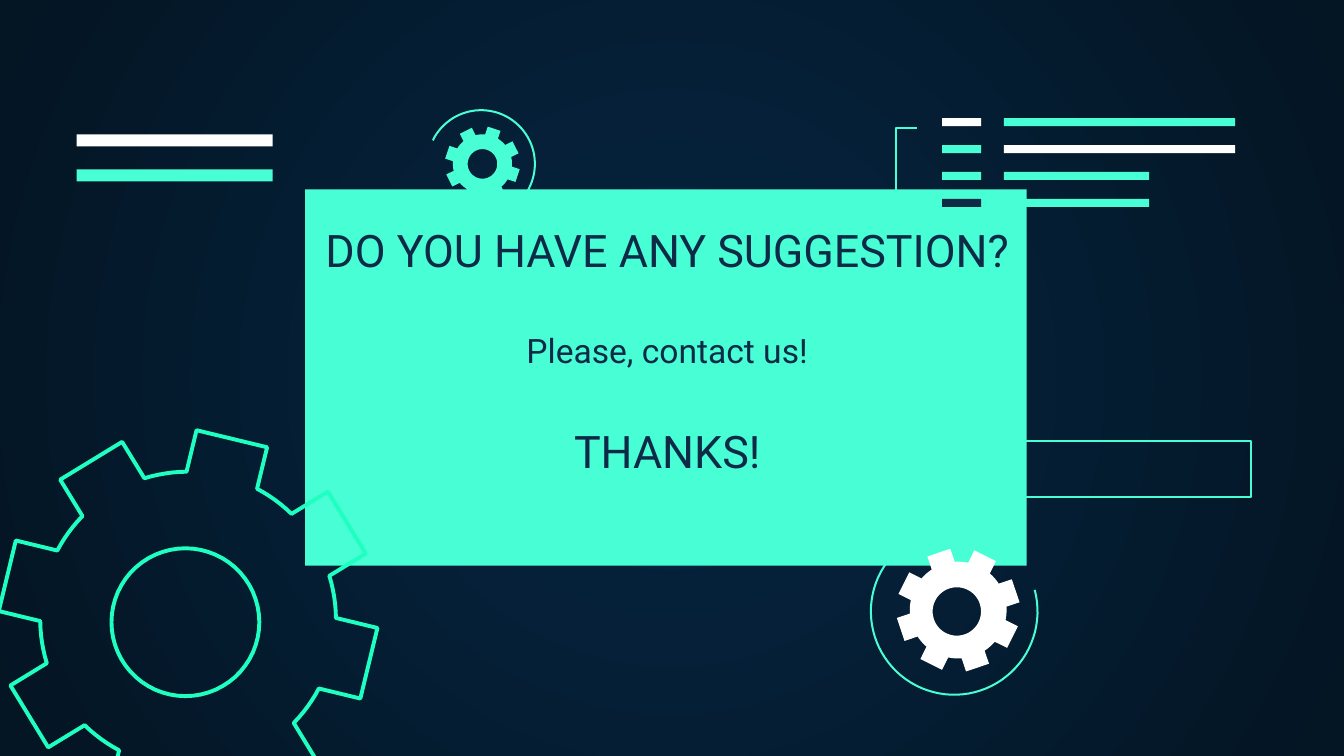
"""Build the closing slide: a contact panel surrounded by gears, arcs and bars."""
from dataclasses import dataclass
from math import asin, cos, degrees, radians, sin
from typing import Optional

from lxml import etree
from pptx import Presentation
from pptx.dml.color import RGBColor
from pptx.enum import shapes as kinds, text as txt
from pptx.oxml.ns import qn
from pptx.util import Inches, Pt

Point = tuple[float, float]


@dataclass(frozen=True)
class Theme:
    mint: str = "48FFD5"
    bright_mint: str = "1EFFC1"
    white: str = "FFFFFF"
    navy: str = "0E2A47"
    glow: str = "052643"
    edge: str = "041523"
    font: str = "Roboto"
    heading: float = 24
    body: float = 18
    gap: float = 28.5
    thin: float = 1.09
    thick: float = 2.1


@dataclass(frozen=True)
class Gear:
    centre: Point
    hole_centre: Point
    tip: float
    root: float
    hole: float
    half_tooth: float
    phase: float
    fill: Optional[str] = None
    line: Optional[str] = None


@dataclass(frozen=True)
class Arc:
    centre: Point
    radius: float
    start: float
    end: float


@dataclass(frozen=True)
class Bar:
    left: float
    top: float
    width: float
    height: float
    fill: Optional[str] = None
    line: Optional[str] = None


THEME = Theme()
TEETH = 8

PANEL = Bar(2.27, 1.41, 5.37, 2.8, THEME.mint)
ORBITS = [Arc((3.58, 1.22), 0.4, 206, 455), Arc((7.1, 4.55), 0.62, -15, 233)]
GEARS = [
    Gear((1.4, 4.61), (1.38, 4.63), 1.41, 1.1, 0.55, 0.27, 13.6, line=THEME.bright_mint),
    Gear((7.13, 4.54), (7.12, 4.55), 0.46, 0.36, 0.18, 0.09, 26.4, fill=THEME.white),
    Gear((3.59, 1.22), (3.59, 1.22), 0.28, 0.22, 0.11, 0.05, 18.4, fill=THEME.mint),
]
LIST_ROWS = [
    (THEME.white, THEME.mint, 1.72),
    (THEME.mint, THEME.white, 1.72),
    (THEME.mint, THEME.mint, 1.08),
    (THEME.navy, THEME.mint, 1.08),
]
BRACKET = [(6.83, 1.56), (6.67, 1.56), (6.67, 0.95), (6.82, 0.95)]
TITLE_BARS = [
    Bar(0.57, 1, 1.46, 0.09, THEME.white),
    Bar(0.57, 1.26, 1.46, 0.09, THEME.mint),
]
SIDE_FRAME = Bar(7.2, 3.28, 2.11, 0.42, line=THEME.mint)
MESSAGES = [
    ("DO YOU HAVE ANY SUGGESTION?", THEME.heading),
    ("Please, contact us!", THEME.body),
    ("THANKS!", THEME.heading),
]


def style(shape, fill: Optional[str], line: Optional[str], weight: float = THEME.thin) -> None:
    """Apply a flat fill and outline, leaving out whichever is None."""
    shape.shadow.inherit = False
    if fill:
        shape.fill.solid()
        shape.fill.fore_color.rgb = RGBColor.from_string(fill)
    else:
        shape.fill.background()
    if line:
        shape.line.color.rgb = RGBColor.from_string(line)
        shape.line.width = Pt(weight)
    else:
        shape.line.fill.background()


def arc_points(centre: Point, radius: float, start: float, end: float, steps: int) -> list[Point]:
    """Return points along a clockwise arc, with angles in degrees."""
    angles = [radians(start + (end - start) * i / steps) for i in range(steps + 1)]
    return [(centre[0] + radius * cos(a), centre[1] + radius * sin(a)) for a in angles]


def draw_outline(slide, contours: list[list[Point]], closed: bool):
    """Draw one freeform made of the given contours."""
    paths = [[(Inches(x), Inches(y)) for x, y in contour] for contour in contours]
    builder = slide.shapes.build_freeform(*paths[0][0], scale=1.0)
    builder.add_line_segments(paths[0][1:], close=closed)
    for path in paths[1:]:
        builder.move_to(*path[0])
        builder.add_line_segments(path[1:], close=closed)
    return builder.convert_to_shape()


def draw_bar(slide, bar: Bar) -> None:
    """Draw a rectangle."""
    box = [Inches(v) for v in (bar.left, bar.top, bar.width, bar.height)]
    style(slide.shapes.add_shape(kinds.MSO_SHAPE.RECTANGLE, *box), bar.fill, bar.line)


def draw_orbit(slide, arc: Arc) -> None:
    """Draw an open arc around a gear."""
    points = arc_points(arc.centre, arc.radius, arc.start, arc.end, 60)
    style(draw_outline(slide, [points], False), None, THEME.mint)


def draw_gear(slide, gear: Gear) -> None:
    """Draw a gear with parallel-sided teeth and a round hole."""
    pitch = 360 / TEETH
    at_tip = degrees(asin(gear.half_tooth / gear.tip))
    at_root = degrees(asin(gear.half_tooth / gear.root))
    rim: list[Point] = []
    for tooth in range(TEETH):
        axis = gear.phase + tooth * pitch
        rim += arc_points(gear.centre, gear.tip, axis - at_tip, axis + at_tip, 1)
        rim += arc_points(gear.centre, gear.root, axis + at_root, axis + pitch - at_root, 6)
    hole = arc_points(gear.hole_centre, gear.hole, 360, 0, 60)[:-1]
    style(draw_outline(slide, [rim, hole], True), gear.fill, gear.line, THEME.thick)


def paint_background(slide) -> None:
    """Fill the background with a radial gradient."""
    fill = slide.background.fill
    fill.gradient()
    for stop, colour, position in zip(fill.gradient_stops, (THEME.glow, THEME.edge), (0, 1)):
        stop.color.rgb = RGBColor.from_string(colour)
        stop.position = position
    gradient = slide.element.find(".//" + qn("a:gradFill"))
    linear = gradient.find(qn("a:lin"))
    radial = etree.Element(qn("a:path"), path="circle")
    etree.SubElement(radial, qn("a:fillToRect"), l="50000", t="50000", r="50000", b="50000")
    gradient.replace(linear, radial)


def write_messages(slide) -> None:
    """Write the centred lines of the panel."""
    frame = slide.shapes.add_textbox(
        Inches(2.28), Inches(1.56), Inches(5.37), Inches(1.96)).text_frame
    frame.word_wrap = True
    frame.vertical_anchor = txt.MSO_ANCHOR.TOP
    frame.margin_left = frame.margin_right = Inches(0.1)
    frame.margin_top = frame.margin_bottom = Inches(0.1)
    frame.text = "\n".join(message for message, _ in MESSAGES)
    for index, (paragraph, (_, size)) in enumerate(zip(frame.paragraphs, MESSAGES)):
        paragraph.alignment = txt.PP_ALIGN.CENTER
        paragraph.space_before = Pt(THEME.gap if index else 0)
        font = paragraph.runs[0].font
        font.name, font.size = THEME.font, Pt(size)
        font.color.rgb = RGBColor.from_string(THEME.navy)


def main() -> None:
    """Assemble and save the slide."""
    deck = Presentation()
    deck.slide_width = Inches(10)
    deck.slide_height = Inches(10 * 9 / 16)
    slide = deck.slides.add_slide(deck.slide_layouts[6])
    paint_background(slide)
    draw_bar(slide, PANEL)
    for orbit in ORBITS:
        draw_orbit(slide, orbit)
    for gear in GEARS:
        draw_gear(slide, gear)
    for row, (bullet, item, width) in enumerate(LIST_ROWS):
        top = 0.88 + 0.2 * row
        draw_bar(slide, Bar(7.01, top, 0.29, 0.06, bullet))
        draw_bar(slide, Bar(7.47, top, width, 0.06, item))
    style(draw_outline(slide, [BRACKET], False), None, THEME.mint)
    for bar in (*TITLE_BARS, SIDE_FRAME):
        draw_bar(slide, bar)
    write_messages(slide)
    deck.save("out.pptx")


if __name__ == "__main__":
    main()
